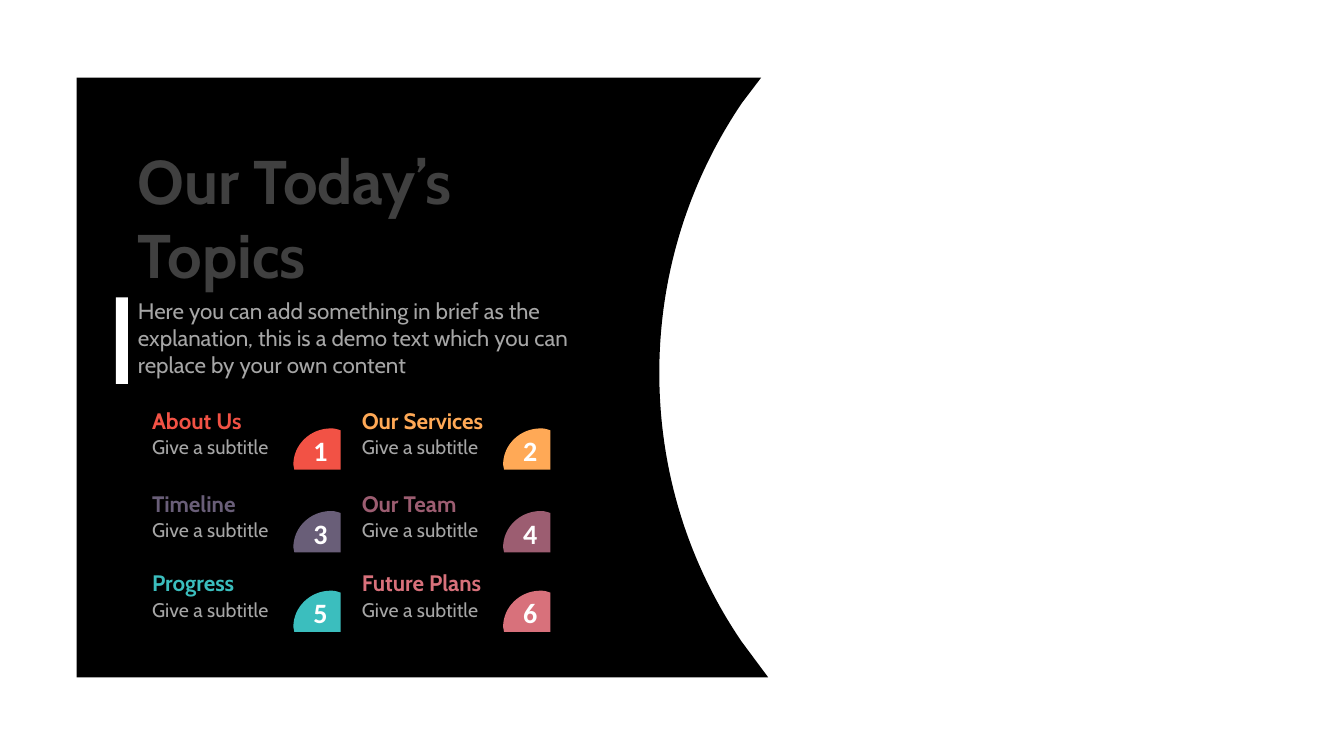
from lxml import etree
from pptx import Presentation
from pptx.dml.color import RGBColor
from pptx.enum.shapes import MSO_SHAPE
from pptx.enum.text import MSO_ANCHOR, MSO_AUTO_SIZE, PP_ALIGN
from pptx.oxml.ns import qn
from pptx.util import Pt

PX = 9144  # EMU per px, 100 px to the inch

BLACK = RGBColor(0x00, 0x00, 0x00)
WHITE = RGBColor(0xFF, 0xFF, 0xFF)
CHARCOAL = RGBColor(0x40, 0x40, 0x40)
GREY = RGBColor(0xA6, 0xA6, 0xA6)
RED = RGBColor(0xF2, 0x52, 0x45)
ORANGE = RGBColor(0xFF, 0xA9, 0x56)
PURPLE = RGBColor(0x69, 0x5E, 0x78)
PLUM = RGBColor(0x9C, 0x5D, 0x71)
TEAL = RGBColor(0x3B, 0xBE, 0xBE)
ROSE = RGBColor(0xD8, 0x71, 0x7B)

# Content
TITLE = "Our Today’s Topics"
INTRO = ("Here you can add something in brief as the explanation, this is a "
         "demo text which you can replace by your own content")
SUBTITLE = "Give a subtitle"
TOPICS = [
    ("About Us", RED), ("Our Services", ORANGE),
    ("Timeline", PURPLE), ("Our Team", PLUM),
    ("Progress", TEAL), ("Future Plans", ROSE),
]

# Layout: one point makes a line, three points make a cubic curve
COLUMNS = (141, 349)
ROWS = (398, 480, 559)
PANEL = [
    [(76, 77)], [(755, 77)], [(736, 102)],
    [(684, 179), (654, 271), (654, 370)],
    [(654, 469), (684, 561), (736, 637)],
    [(762, 672)], [(76, 672)],
]
BADGE = [
    [(37, 0)], [(39, 0), (42, 0), (44, 1)], [(47, 2)], [(47, 41)],
    [(1, 41)], [(0, 36)], [(0, 16), (17, 0), (37, 0)],
]


def paint(shape, color):
    shape.shadow.inherit = False
    shape.fill.solid()
    shape.fill.fore_color.rgb = color
    shape.line.fill.background()
    return shape


def add_outline(shapes, outline, color, left=0, top=0):
    points = [((x + left) * PX, (y + top) * PX)
              for step in outline for x, y in step]
    builder = shapes.build_freeform(*points[0], scale=1.0)
    builder.add_line_segments(points[1:], close=False)
    shape = paint(builder.convert_to_shape(), color)

    # Join each run of three points into one curve
    track = next(shape.element.iter(qn("a:path")))
    lines = iter(track.findall(qn("a:lnTo")))
    for step in outline[1:]:
        group = [next(lines) for _ in step]
        if len(group) == 3:
            curve = etree.Element(qn("a:cubicBezTo"))
            group[0].addprevious(curve)
            for line in group:
                curve.append(line[0])
                track.remove(line)
    etree.SubElement(track, qn("a:close"))


def add_block(shapes, area, color):
    edges = [length * PX for length in area]
    return paint(shapes.add_shape(MSO_SHAPE.RECTANGLE, *edges), color)


def write(box, text, size, color, bold=False, font="Cabin",
          align=PP_ALIGN.LEFT):
    frame = box.text_frame
    frame.word_wrap = True
    frame.auto_size = MSO_AUTO_SIZE.SHAPE_TO_FIT_TEXT
    frame.vertical_anchor = MSO_ANCHOR.TOP
    frame.text = text
    para = frame.paragraphs[0]
    para.alignment = align
    span = para.runs[0].font
    span.name, span.size, span.bold = font, Pt(size), bold
    span.color.rgb = color


def add_text(shapes, area, *style, **options):
    box = shapes.add_textbox(*[length * PX for length in area])
    write(box, *style, **options)


def add_topic(page, number, name, color, left, top):
    card = page.shapes.add_group_shape().shapes
    add_block(card, (left, top, 197, 67), BLACK)
    add_outline(card, BADGE, color, left + 150, top + 27)
    add_text(card, (left + 155, top + 27, 44, 44), str(number), 20, WHITE,
             bold=True, font="Calibri", align=PP_ALIGN.CENTER)
    add_text(card, (left, top + 29, 152, 34), SUBTITLE, 14, GREY)
    add_text(card, (left, top + 1, 181, 37), name, 16, color, bold=True)


def main():
    deck = Presentation()
    deck.slide_width, deck.slide_height = 1333 * PX, 750 * PX
    page = deck.slides.add_slide(deck.slide_layouts[6])

    # Curved panel and title
    add_outline(page.shapes, PANEL, BLACK)
    add_text(page.shapes, (127, 137, 337, 158), TITLE, 44, CHARCOAL, bold=True)

    # Topic grid
    for index, (name, color) in enumerate(TOPICS):
        row, column = divmod(index, len(COLUMNS))
        add_topic(page, index + 1, name, color, COLUMNS[column], ROWS[row])

    # Introduction with its white edge
    add_block(page.shapes, (115, 295, 444, 86), WHITE)
    intro = add_block(page.shapes, (127, 290, 450, 91), BLACK)
    write(intro, INTRO, 16, GREY)

    deck.save("out.pptx")


if __name__ == "__main__":
    main()
